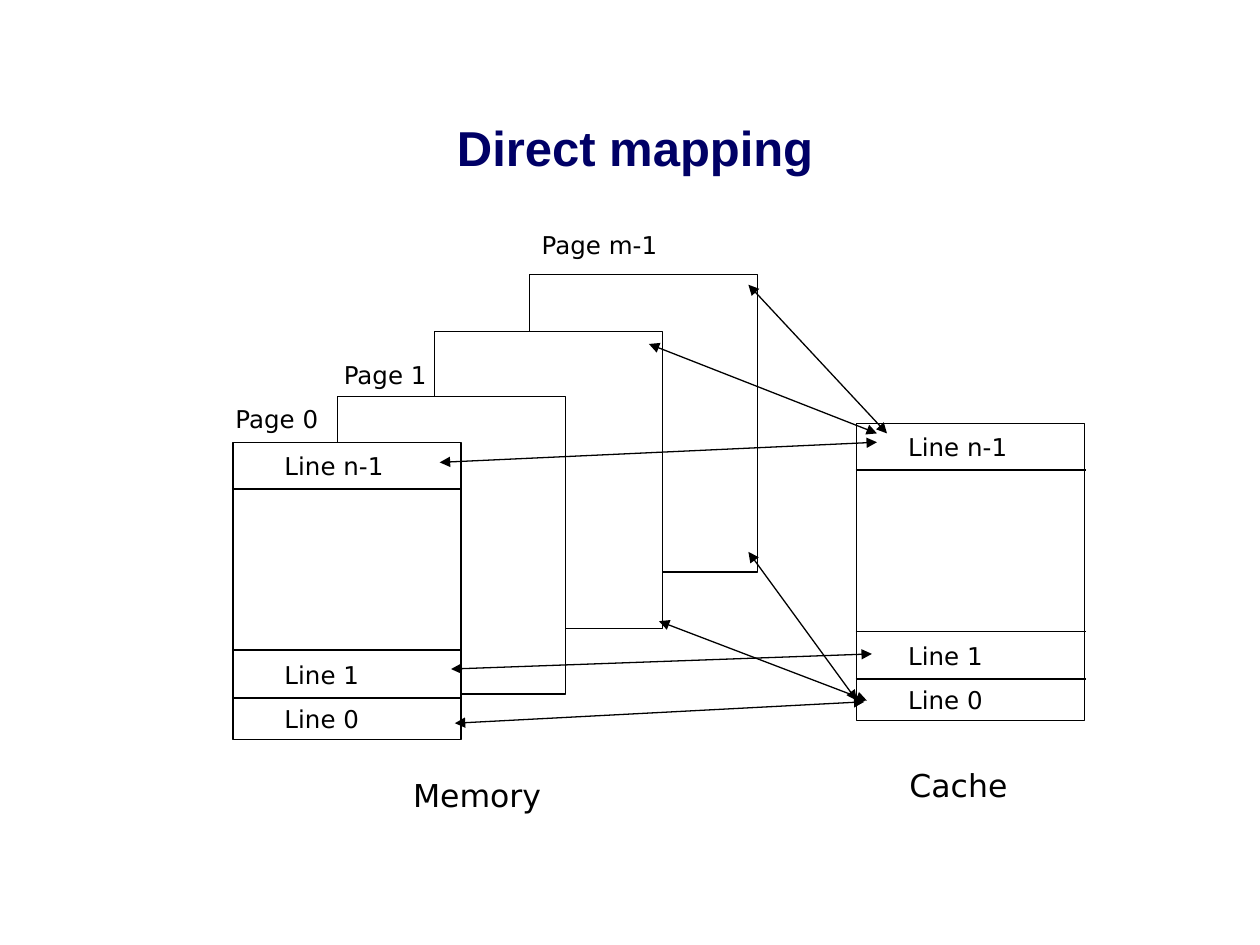
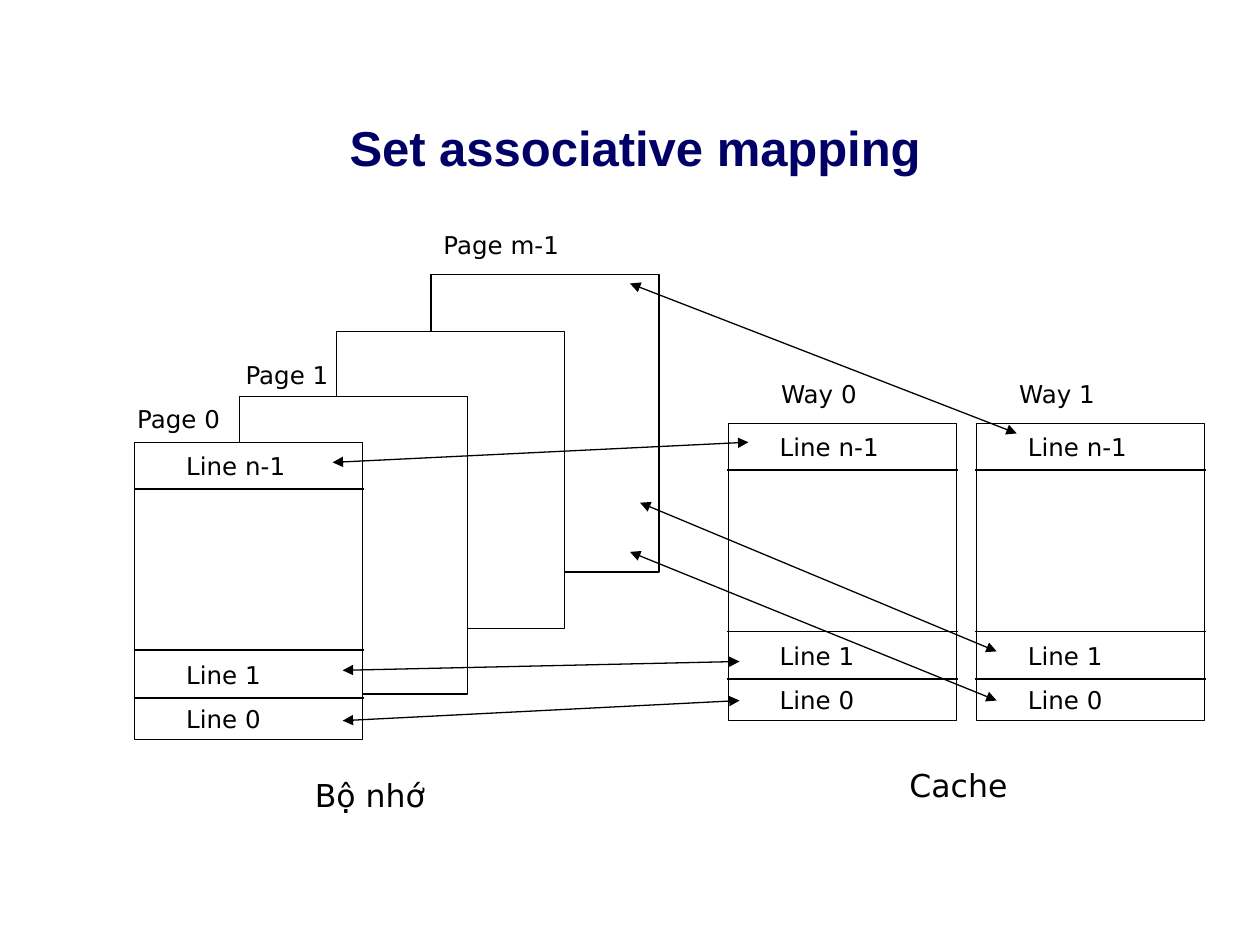
from dataclasses import dataclass
from lxml.etree import SubElement as Sub
from pptx import Presentation
from pptx.dml.color import RGBColor as RGB
from pptx.enum.shapes import MSO_CONNECTOR as Conn, MSO_SHAPE as Shape
from pptx.enum.text import MSO_ANCHOR as Anchor, PP_ALIGN as Align
from pptx.oxml.ns import qn
from pptx.util import Inches, Pt


@dataclass(frozen=True)
class Theme:
    ink: RGB = RGB(0, 0, 0)
    paper: RGB = RGB(255, 255, 255)
    navy: RGB = RGB(0, 0, 0x66)
    head: str = "Arial"
    body: str = "DejaVu Sans"
    title: int = 28
    name: int = 18
    label: int = 14
    rule: float = 0.75


T = Theme()
WIDE, HIGH = 1.81, 2.36  # size of every memory page and cache way


def write(slide, text, x, y, w, h, size=T.label, font=T.body, color=T.ink):
    frame = slide.shapes.add_textbox(*map(Inches, (x, y, w, h))).text_frame
    frame.word_wrap = True
    frame.margin_right = 0
    run = frame.paragraphs[0].add_run()
    run.text = text
    run.font.size, run.font.name = Pt(size), font
    run.font.color.rgb = color
    return frame


def rule(slide, start, end, arrow=False):
    link = slide.shapes.add_connector(
        Conn.STRAIGHT, *map(Inches, (*start, *end)))
    link.line.color.rgb = T.ink
    link.line.width = Pt(T.rule)
    props = link._element.spPr
    if arrow:
        for tag in ("a:headEnd", "a:tailEnd"):
            Sub(props.find(qn("a:ln")), qn(tag), type="triangle")
    Sub(props, qn("a:effectLst"))


def page(slide, x, y):
    box = slide.shapes.add_shape(
        Shape.RECTANGLE, *map(Inches, (x, y, WIDE, HIGH)))
    box.shadow.inherit = False
    box.fill.solid()
    box.fill.fore_color.rgb = T.paper
    box.line.color.rgb = T.ink
    box.line.width = Pt(T.rule)


def block(slide, x, y):
    """A page divided into its top line and its two bottom lines."""
    page(slide, x, y)
    for drop in (0.37, 1.65, 2.03):
        rule(slide, (x - 0.01, y + drop), (x + WIDE + 0.01, y + drop))
    for text, drop in (("Line n-1", 0.02), ("Line 1", 1.68), ("Line 0", 2.03)):
        write(slide, text, x + 0.31, y + drop, 1.26, 0.33)


def memory(slide, x, y, name):
    # Pages from the back to the front
    for dx, dy in ((2.35, -1.33), (1.6, -0.88), (0.83, -0.36)):
        page(slide, x + dx, y + dy)
    block(slide, x, y)
    # Page labels and caption
    for text, dx, dy in (("Page 0", -0.08, -0.35), ("Page 1", 0.78, -0.7),
                         ("Page m-1", 2.35, -1.73)):
        write(slide, text, x + dx, y + dy, 1.18, 0.33)
    write(slide, name, x + 1.33, y + 2.6, 1.32, 0.4, T.name)


def cache(slide, y, ways):
    for x, text, dx in ways:
        block(slide, x, y)
        if text:
            write(slide, text, x + dx, y - 0.4, 1.18, 0.33)
    write(slide, "Cache", 7.12, y + 2.67, 1, 0.4, T.name)


def mapping(deck, title, left, name, ways, links):
    slide = deck.slides.add_slide(deck.slide_layouts[6])
    # Title
    frame = write(slide, title, 0.25, 0.83, 9.58, 0.57,
                  T.title, T.head, T.navy)
    frame.margin_right = frame.margin_top = Inches(0.1)
    frame.vertical_anchor = Anchor.TOP
    line = frame.paragraphs[0]
    line.alignment = Align.CENTER
    line.runs[0].font.bold = True
    # Diagram
    memory(slide, left, 3.51, name)
    cache(slide, 3.36, ways)
    for start, end in links:
        rule(slide, start, end, arrow=True)


def main():
    deck = Presentation()
    deck.slide_width, deck.slide_height = Inches(10), Inches(7.5)
    mapping(deck, "Direct mapping", 1.85, "Memory", [(6.8, "", 0)], [
        ((3.61, 5.74), (6.86, 5.57)),
        ((3.58, 5.31), (6.92, 5.19)),
        ((3.49, 3.67), (6.96, 3.51)),
        ((5.94, 2.26), (7.04, 3.44)),
        ((5.15, 2.73), (6.96, 3.44)),
        ((5.94, 4.38), (6.8, 5.56)),
        ((5.23, 4.93), (6.88, 5.56)),
    ])
    mapping(deck, "Set associative mapping", 1.07, "Bộ nhớ",
            [(5.78, "Way 0", 0.32), (7.75, "Way 1", 0.24)], [
                ((2.72, 5.72), (5.87, 5.56)),
                ((2.72, 5.32), (5.87, 5.25)),
                ((2.64, 3.67), (5.94, 3.51)),
                ((5, 2.25), (8.07, 3.44)),
                ((5, 4.38), (7.91, 5.56)),
                ((5.08, 3.99), (7.91, 5.17)),
            ])
    deck.save("out.pptx")


if __name__ == "__main__":
    main()
